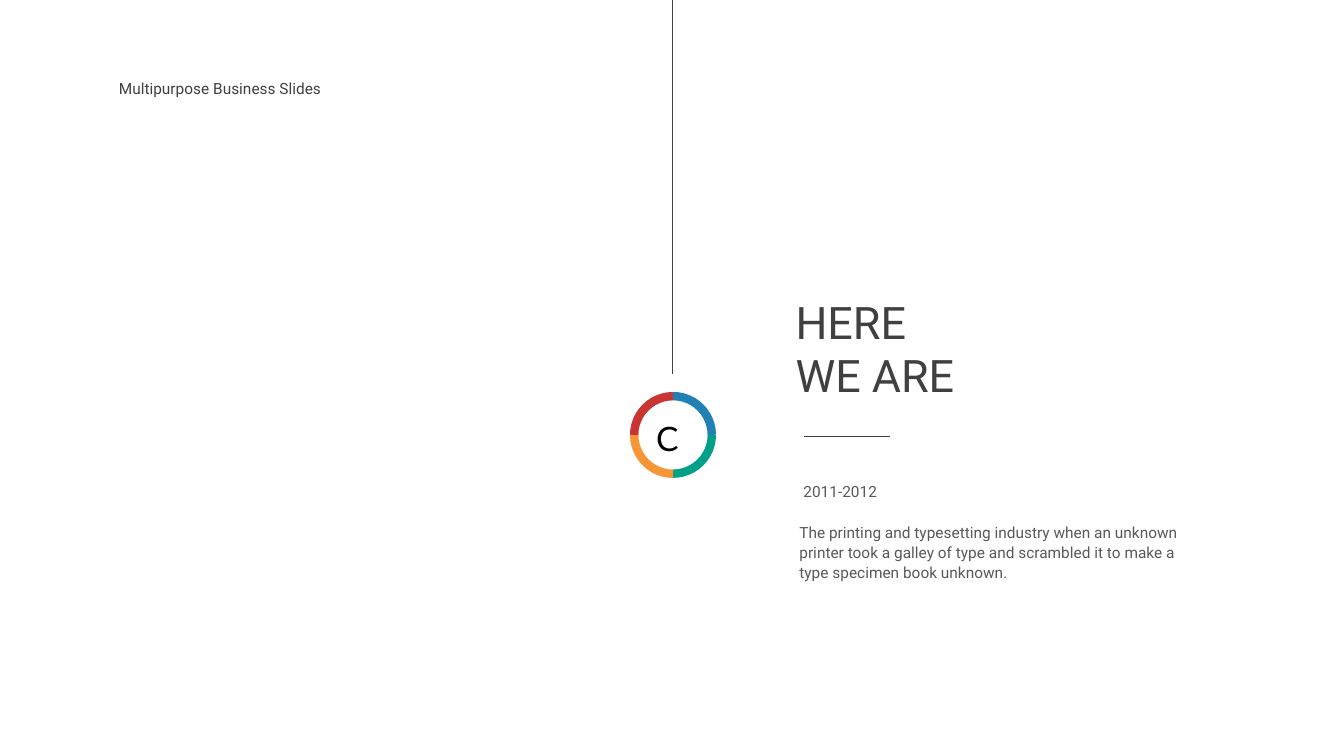
from lxml.etree import SubElement
from pptx import Presentation
from pptx.dml.color import RGBColor
from pptx.enum.shapes import MSO_CONNECTOR, MSO_SHAPE
from pptx.enum.text import MSO_ANCHOR, MSO_AUTO_SIZE, PP_ALIGN
from pptx.oxml.ns import qn
from pptx.util import Inches, Pt

COLORS = {
    "dark": "404040", "grey": "595959", "black": "000000",
    "blue": "2180B4", "green": "00A188", "orange": "F79636", "red": "C83532",
}


def rgb(name):
    """Return the named colour."""
    return RGBColor.from_string(COLORS[name])


def write(s, text, size, color, font="Roboto", spacing=None, wrap=True):
    """Fill a shape with left-aligned text."""
    tf = s.text_frame
    tf.text = text
    tf.word_wrap = wrap
    tf.auto_size = MSO_AUTO_SIZE.NONE
    tf.vertical_anchor = MSO_ANCHOR.TOP
    p = tf.paragraphs[0]
    p.alignment = PP_ALIGN.LEFT
    if spacing:
        p.line_spacing = spacing
    for r in p.runs:
        r.font.name = font
        r.font.size = Pt(size)
        r.font.color.rgb = rgb(color)


def add_text(shapes, box, text, size, color, **style):
    """Add a text box at left, top, width, height."""
    s = shapes.add_textbox(*map(Inches, box))
    write(s, text, size, color, **style)


def add_title(sp, box, text):
    """Place and fill the title placeholder."""
    s = sp.title
    s.left, s.top, s.width, s.height = map(Inches, box)
    write(s, text, 32, "dark")


def add_line(sp, x1, y1, x2, y2):
    """Add a thin dark line."""
    s = sp.add_connector(MSO_CONNECTOR.STRAIGHT, *map(Inches, (x1, y1, x2, y2)))
    s.line.color.rgb = rgb("dark")
    s.line.width = Pt(1)
    SubElement(s._element.spPr, qn("a:effectLst"))


def add_badge(sp, left, top, size, letter):
    """Add a ring of four quarter arcs around a letter."""
    group = sp.add_group_shape().shapes
    for i, color in enumerate(("blue", "green", "orange", "red")):
        s = group.add_shape(MSO_SHAPE.ARC, *map(Inches, (left, top, size, size)))
        s.rotation = 90 * i
        s.shadow.inherit = False
        s.fill.background()
        s.line.color.rgb = rgb(color)
        s.line.width = Pt(6)
    add_text(group, (left + 0.12, top + 0.17, 0.54, 0.5), letter, 24, "black",
             font="Lato", wrap=False)


def main():
    """Build the slide and save it."""
    prs = Presentation()
    prs.slide_width, prs.slide_height = Inches(13.33), Inches(7.5)
    sp = prs.slides.add_slide(prs.slide_layouts[5]).shapes
    add_line(sp, 6.67, 0, 6.67, 3.71)
    add_text(sp, (1.08, 0.68, 3.21, 0.34), "Multipurpose Business Slides",
             11, "dark", spacing=Pt(17.3))
    add_title(sp, (7.79, 2.87, 5.54, 1.18), "HERE \vWE ARE")
    add_line(sp, 7.97, 4.33, 8.83, 4.33)
    add_text(sp, (7.87, 4.72, 3.13, 0.3), "2011-2012", 11, "grey", spacing=1.1)
    add_text(sp, (7.83, 5.12, 4.15, 0.71),
             "The printing and typesetting industry when an unknown printer took "
             "a galley of type and scrambled it to make a type specimen book unknown.",
             11, "grey", spacing=1.1)
    add_badge(sp, 6.29, 3.93, 0.77, "C")
    prs.save("out.pptx")


if __name__ == "__main__":
    main()
